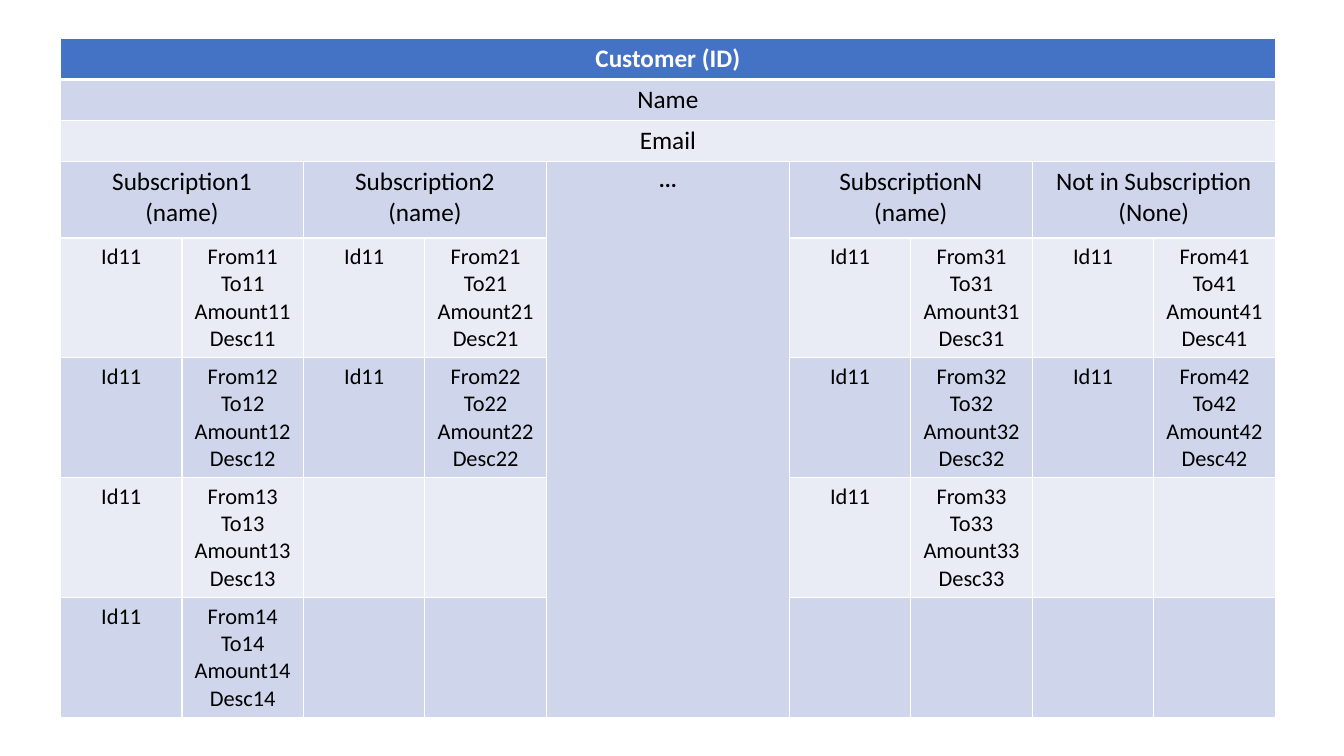
from lxml.etree import SubElement
from pptx import Presentation
from pptx.dml.color import RGBColor
from pptx.enum.text import PP_ALIGN
from pptx.oxml.ns import qn
from pptx.util import Inches, Pt

COLUMN_WIDTHS = [1.205] * 4 + [2.41] + [1.205] * 4
ROW_HEIGHTS = [0.41, 0.4, 0.4, 0.76] + [1.19] * 4
HEADER_FILL = "4472C4"
BAND_FILLS = ["E9EBF5", "CFD5EA"]
SUBSCRIPTION_ROW = 3
ELLIPSIS_COLUMN = 4
SUBSCRIPTIONS = [
    (0, "Subscription1\n(name)", 4),
    (2, "Subscription2\n(name)", 2),
    (5, "SubscriptionN\n(name)", 3),
    (7, "Not in Subscription\n(None)", 2),
]


def colour(value):
    return RGBColor.from_string(value)


def add_border(cell, side, points):
    properties = cell._tc.get_or_add_tcPr()
    line = SubElement(properties, qn(f"a:{side}"), w=str(Pt(points)))
    fill = SubElement(line, qn("a:solidFill"))
    SubElement(fill, qn("a:srgbClr"), val="FFFFFF")


def format_cell(cell, row):
    widths = {"lnL": 1, "lnR": 1, "lnT": 3 if row == 1 else 1, "lnB": 3 if row == 0 else 1}
    for side, points in widths.items():
        add_border(cell, side, points)
    cell.fill.solid()
    cell.fill.fore_color.rgb = colour(BAND_FILLS[row % 2] if row else HEADER_FILL)


def write_cell(cell, text, size=18, bold=False, text_colour="000000"):
    cell.text = text
    font_values = {"name": "Calibri", "size": Pt(size), "bold": bold}
    for para in cell.text_frame.paragraphs:
        para.alignment = PP_ALIGN.CENTER
        for span in para.runs:
            for name, value in font_values.items():
                setattr(span.font, name, value)
            span.font.color.rgb = colour(text_colour)


def add_grid(page):
    frame = page.shapes.add_table(
        len(ROW_HEIGHTS), len(COLUMN_WIDTHS), Inches(0.6), Inches(0.38),
        Inches(sum(COLUMN_WIDTHS)), Inches(sum(ROW_HEIGHTS)),
    )
    table = frame.table
    for column, width in zip(table.columns, COLUMN_WIDTHS):
        column.width = Inches(width)
    for index, height in enumerate(ROW_HEIGHTS):
        table.rows[index].height = Inches(height)
        for cell in table.rows[index].cells:
            format_cell(cell, index)
    return table


def add_customer_rows(table):
    last_column = len(COLUMN_WIDTHS) - 1
    for row, text in enumerate(["Customer (ID)", "Name", "Email"]):
        table.cell(row, 0).merge(table.cell(row, last_column))
        header = row == 0
        write_cell(table.cell(row, 0), text, bold=header,
                   text_colour="FFFFFF" if header else "000000")


def add_subscription(table, number, column, title, entries):
    heading = table.cell(SUBSCRIPTION_ROW, column)
    heading.merge(table.cell(SUBSCRIPTION_ROW, column + 1))
    write_cell(heading, title)
    for entry in range(1, entries + 1):
        row = SUBSCRIPTION_ROW + entry
        details = " ".join(f"{field}{number}{entry}" for field in ["From", "To", "Amount", "Desc"])
        write_cell(table.cell(row, column), "Id11", 16)
        write_cell(table.cell(row, column + 1), details, 16)


def add_ellipsis(table):
    cell = table.cell(SUBSCRIPTION_ROW, ELLIPSIS_COLUMN)
    cell.merge(table.cell(len(ROW_HEIGHTS) - 1, ELLIPSIS_COLUMN))
    write_cell(cell, "...", 16, bold=True)


def main():
    deck = Presentation()
    deck.slide_width, deck.slide_height = Inches(13.33), Inches(7.5)
    page = deck.slides.add_slide(deck.slide_layouts[6])
    table = add_grid(page)
    add_customer_rows(table)
    for number, (column, title, entries) in enumerate(SUBSCRIPTIONS, 1):
        add_subscription(table, number, column, title, entries)
    add_ellipsis(table)
    deck.save("out.pptx")


if __name__ == "__main__":
    main()
